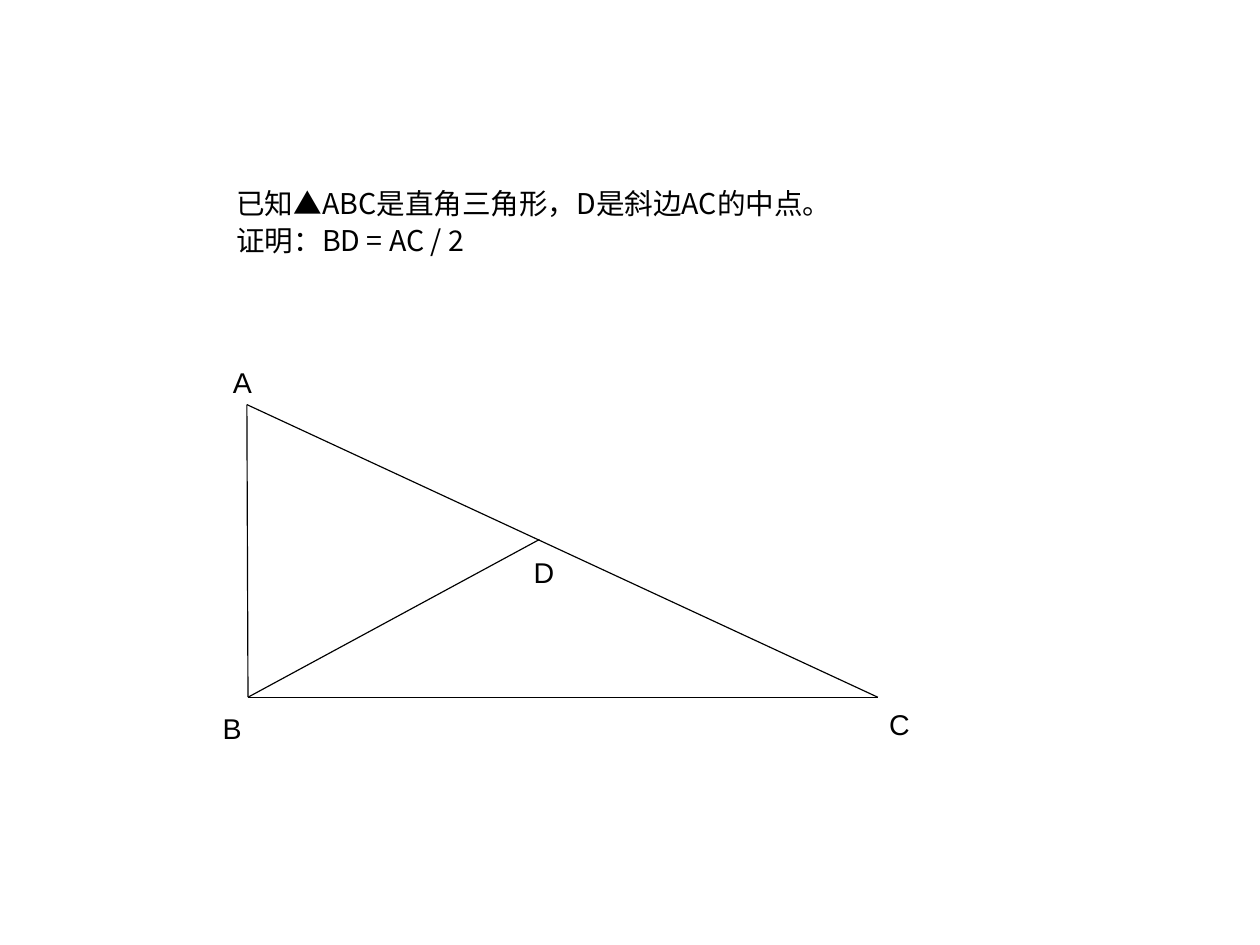
from dataclasses import dataclass

from lxml import etree
from pptx import Presentation
from pptx.dml.color import RGBColor
from pptx.enum.shapes import MSO_CONNECTOR
from pptx.enum.text import MSO_ANCHOR, MSO_AUTO_SIZE
from pptx.oxml.ns import qn
from pptx.util import Inches, Pt

STRAIGHT = MSO_CONNECTOR.STRAIGHT
TOP = MSO_ANCHOR.TOP
FIT_SHAPE = MSO_AUTO_SIZE.SHAPE_TO_FIT_TEXT


@dataclass
class Theme:
    ink: RGBColor = RGBColor(0x00, 0x00, 0x00)
    paper: RGBColor = RGBColor(0xFF, 0xFF, 0xFF)
    text_size: float = 18
    line_width: float = 0.75
    statement_font: str = "Noto Sans CJK SC"
    label_font: str = "Arial"


theme = Theme()


def add_text(page, text, left, top, width, height, font, spacing, inset_top):
    box = page.shapes.add_textbox(Inches(left), Inches(top), Inches(width), Inches(height))
    frame = box.text_frame
    frame.word_wrap = False
    frame.auto_size = FIT_SHAPE
    frame.vertical_anchor = TOP
    frame.margin_left = frame.margin_right = Inches(0.1)
    frame.margin_top, frame.margin_bottom = Inches(inset_top), Inches(0.05)
    frame.text = text
    for para in frame.paragraphs:
        para.line_spacing = spacing
        for span in para.runs:
            span.font.size = Pt(theme.text_size)
            span.font.color.rgb = theme.ink
            span.font.name = font
            east_asian = etree.SubElement(span.font._element, qn("a:ea"))
            east_asian.set("typeface", font)


# Page of 28 by 21 centimetres
deck = Presentation()
deck.slide_width, deck.slide_height = Inches(28 / 2.54), Inches(21 / 2.54)
page = deck.slides.add_slide(deck.slide_layouts[6])
page.background.fill.solid()
page.background.fill.fore_color.rgb = theme.paper

# Triangle ABC with the segment from B to D
points = {"A": (2.16, 3.54), "B": (2.17, 6.1), "C": (7.68, 6.1), "D": (4.72, 4.72)}
for start, end in ("CB", "AB", "AC", "BD"):
    ends = [Inches(value) for value in points[start] + points[end]]
    side = page.shapes.add_connector(STRAIGHT, *ends)
    side.line.color.rgb = theme.ink
    side.line.width = Pt(theme.line_width)
    etree.SubElement(side._element.spPr, qn("a:effectLst"))

# Problem statement
statement = "已知▲ABC是直角三角形，D是斜边AC的中点。\n证明：BD = AC / 2"
add_text(page, statement, 1.97, 1.55, 5.24, 0.74, theme.statement_font, 1.09, 0.05)

# Point labels: left, top, width
labels = {
    "A": (1.94, 3.15, 0.36),
    "B": (1.85, 6.18, 0.36),
    "C": (7.68, 6.14, 0.38),
    "D": (4.57, 4.81, 0.38),
}
for name, (left, top, width) in labels.items():
    add_text(page, name, left, top, width, 0.38, theme.label_font, 0.93, 0.07)

deck.save("out.pptx")
